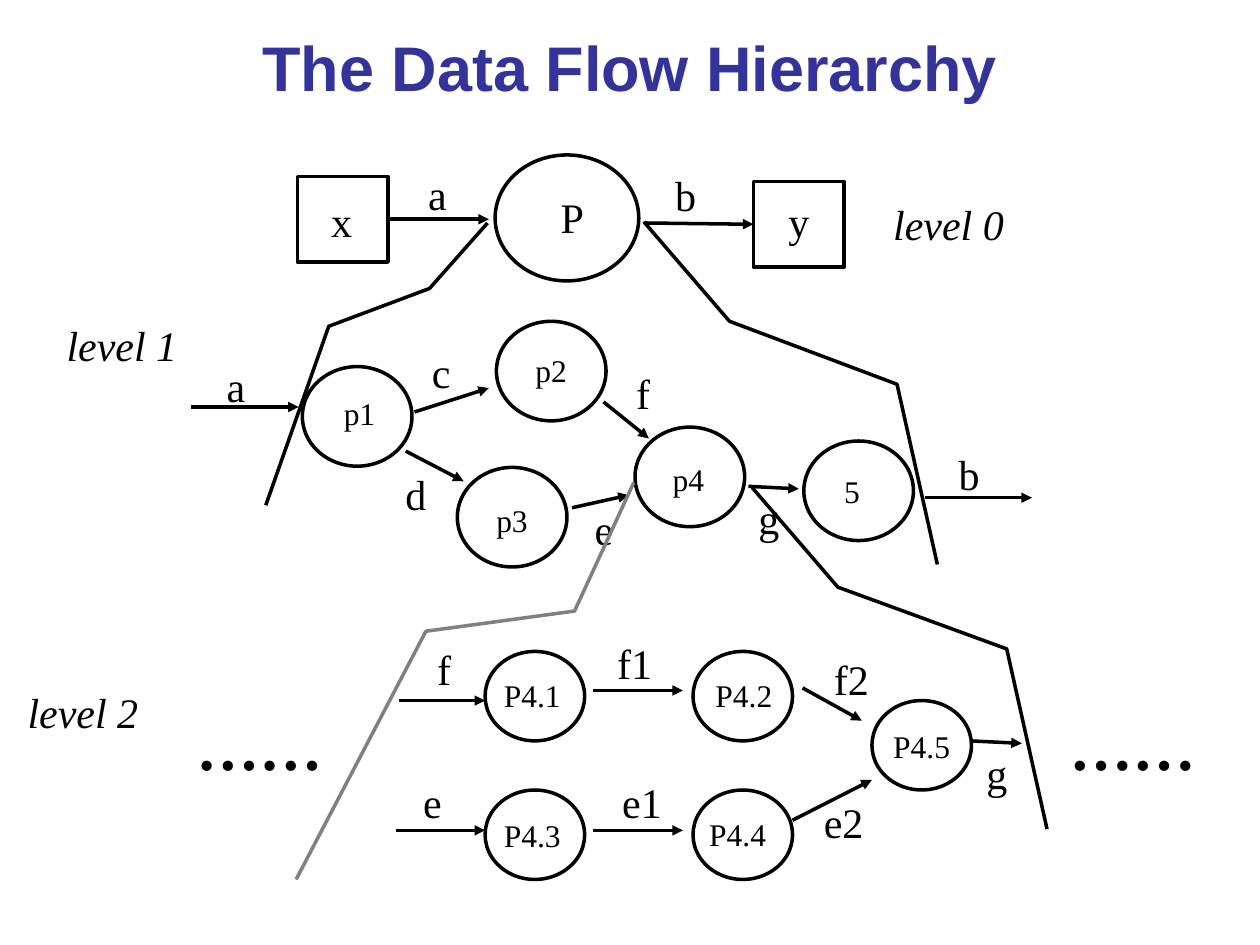
from dataclasses import dataclass

from lxml import etree
from pptx import Presentation
from pptx.dml.color import RGBColor
from pptx.enum.shapes import MSO_CONNECTOR, MSO_SHAPE
from pptx.enum.text import MSO_ANCHOR, MSO_AUTO_SIZE, PP_ALIGN
from pptx.oxml.ns import qn
from pptx.util import Inches, Pt

ELLIPSE, RECTANGLE = MSO_SHAPE.OVAL, MSO_SHAPE.RECTANGLE
STRAIGHT = MSO_CONNECTOR.STRAIGHT
LEFT_SIDE, RIGHT_SIDE = 1, 3

# The page is a grid of 10 columns by 7.5 rows with square cells
COLUMNS, ROWS = 10, 7.5
CELL = Inches(1)
COLORS = {"ink": "000000", "title": "333399", "boundary": "808080"}
TITLE_FONT, LABEL_FONT = "Arial", "Times New Roman"
LINE_WIDTH = Pt(2)
ROW_SPAN = {18: 0.4, 24: 0.5, 36: 0.7}  # label height for each text size

Point = tuple[float, float]


@dataclass
class Node:
    column: float
    row: float
    size: Point
    kind: int = ELLIPSE


@dataclass
class Flow:
    start: Point
    end: Point


@dataclass
class Label:
    text: str
    column: float
    row: float
    width: float
    size: int = 24
    bold: bool = False
    italic: bool = False


@dataclass
class Boundary:
    points: list[Point]
    color: str = "ink"


def cells(count: float) -> int:
    return round(count * CELL)


def color(name: str) -> RGBColor:
    return RGBColor.from_string(COLORS[name])


def style_line(line, name: str = "ink") -> None:
    line.color.rgb = color(name)
    line.width = LINE_WIDTH


def draw_node(page, node: Node):
    shape = page.shapes.add_shape(
        node.kind, cells(node.column), cells(node.row), *map(cells, node.size))
    shape.shadow.inherit = False
    shape.fill.background()
    style_line(shape.line)
    return shape


def draw_flow(page, flow: Flow):
    arrow = page.shapes.add_connector(STRAIGHT, *map(cells, flow.start + flow.end))
    style_line(arrow.line)
    properties = arrow.line._get_or_add_ln()
    etree.SubElement(properties, qn("a:tailEnd"), type="triangle")
    etree.SubElement(arrow._element.spPr, qn("a:effectLst"))
    return arrow


def draw_boundary(page, boundary: Boundary) -> None:
    first, *rest = [(cells(column), cells(row)) for column, row in boundary.points]
    builder = page.shapes.build_freeform(*first)
    builder.add_line_segments(rest, close=False)
    shape = builder.convert_to_shape()
    shape.shadow.inherit = False
    shape.fill.background()
    style_line(shape.line, boundary.color)


def draw_label(page, label: Label) -> None:
    box = page.shapes.add_textbox(cells(label.column), cells(label.row),
                                  cells(label.width), cells(ROW_SPAN[label.size]))
    frame = box.text_frame
    frame.word_wrap = False
    frame.auto_size = MSO_AUTO_SIZE.SHAPE_TO_FIT_TEXT
    frame.text = label.text
    font = frame.paragraphs[0].runs[0].font
    font.name, font.size = LABEL_FONT, Pt(label.size)
    font.bold, font.italic = label.bold, label.italic
    font.color.rgb = color("ink")


def draw_title(page, text: str) -> None:
    title = page.shapes.title
    title.left, title.top = cells(0.75), cells(0.13)
    title.width, title.height = cells(8.5), cells(0.8)
    frame = title.text_frame
    frame.text = text
    frame.vertical_anchor = MSO_ANCHOR.MIDDLE
    paragraph = frame.paragraphs[0]
    paragraph.alignment = PP_ALIGN.CENTER
    font = paragraph.runs[0].font
    font.name, font.size, font.bold = TITLE_FONT, Pt(36), True
    font.color.rgb = color("title")


# Level 0: the whole process between its two externals
EXTERNAL = (0.72, 0.68)
SOURCE = Node(2.36, 1.4, EXTERNAL, RECTANGLE)
SINK = Node(5.98, 1.44, EXTERNAL, RECTANGLE)
INFLOW = Flow((3.04, 1.75), (3.88, 1.74))
OUTFLOW = Flow((5.12, 1.77), (5.97, 1.75))

# Processes of every level
PROCESS, SUBPROCESS = (0.87, 0.79), (0.79, 0.71)
NODES = [Node(3.93, 1.23, (1.14, 1))]
NODES += [Node(column, row, PROCESS) for column, row in
          [(2.4, 2.91), (3.94, 2.55), (3.63, 3.71), (5.04, 3.39), (6.38, 3.5)]]
NODES += [Node(column, row, SUBPROCESS)
          for row in (5.17, 6.27) for column in (3.85, 5.5)]
NODES.append(Node(6.92, 5.56, SUBPROCESS))

FLOWS = [
    # Level 1
    Flow((1.52, 3.23), (2.37, 3.23)), Flow((7.34, 3.95), (8.19, 3.95)),
    Flow((3.29, 3.27), (3.88, 3.08)), Flow((3.22, 3.58), (3.68, 3.82)),
    Flow((4.54, 4.03), (4.99, 3.93)), Flow((4.79, 3.19), (5.15, 3.48)),
    Flow((5.94, 3.86), (6.34, 3.88)),
    # Level 2
    Flow((3.17, 5.56), (3.85, 5.56)), Flow((3.14, 6.59), (3.85, 6.59)),
    Flow((4.71, 5.48), (5.42, 5.48)), Flow((4.71, 6.59), (5.42, 6.59)),
    Flow((6.37, 5.46), (6.84, 5.72)), Flow((6.29, 6.51), (6.92, 6.19)),
    Flow((7.7, 5.88), (8.11, 5.9)),
]

# Outlines that open a process into the level below
BOUNDARIES = [
    Boundary([(3.87, 1.77), (3.41, 2.29), (2.61, 2.59), (2.11, 4.01)]),
    Boundary([(5.11, 1.76), (5.79, 2.55), (7.12, 3.05), (7.44, 4.48)]),
    Boundary([(5.97, 3.87), (6.65, 4.66), (7.99, 5.15), (8.31, 6.58)]),
    Boundary([(2.35, 6.98), (3.38, 5.01), (4.56, 4.85), (5.03, 3.83)], "boundary"),
]

LABELS = [
    # Level 0
    Label("P", 4.35, 1.47, 0.38), Label("x", 2.53, 1.5, 0.36),
    Label("y", 6.16, 1.5, 0.36), Label("a", 3.3, 1.29, 0.35),
    Label("b", 5.26, 1.3, 0.36),
    # Level 1
    Label("p1", 2.63, 3.08, 0.45, 18), Label("p2", 4.15, 2.74, 0.45, 18),
    Label("p3", 3.84, 3.93, 0.45, 18), Label("p4", 5.24, 3.6, 0.45, 18),
    Label("5", 6.6, 3.7, 0.32, 18),
    Label("a", 1.7, 2.81, 0.35), Label("b", 7.51, 3.51, 0.36),
    Label("c", 3.33, 2.7, 0.35), Label("d", 3.12, 3.67, 0.36),
    Label("e", 4.62, 3.95, 0.35), Label("f", 4.95, 2.87, 0.31),
    Label("g", 5.92, 3.86, 0.36),
    # Level 2
    Label("P4.1", 3.9, 5.32, 0.65, 18), Label("P4.2", 5.58, 5.32, 0.65, 18),
    Label("P4.3", 3.9, 6.43, 0.65, 18), Label("P4.4", 5.53, 6.42, 0.65, 18),
    Label("P4.5", 6.99, 5.72, 0.65, 18),
    Label("f", 3.37, 5.06, 0.31), Label("e", 3.26, 6.11, 0.35),
    Label("f1", 4.8, 5.01, 0.48), Label("f2", 6.52, 5.14, 0.48),
    Label("e1", 4.84, 6.11, 0.53), Label("e2", 6.44, 6.27, 0.53),
    Label("g", 7.73, 5.88, 0.36),
]
LABELS += [Label(f"level {level}", column, row, 1.08, italic=True)
           for level, (column, row) in enumerate([(6.99, 1.53), (0.43, 2.49), (0.12, 5.4)])]
LABELS += [Label("……", column, 5.57, 1.2, 36, bold=True) for column in (1.46, 8.39)]


def main() -> None:
    deck = Presentation()
    deck.slide_width, deck.slide_height = cells(COLUMNS), cells(ROWS)
    page = deck.slides.add_slide(deck.slide_layouts[5])
    draw_title(page, "The Data Flow Hierarchy")

    source, sink = draw_node(page, SOURCE), draw_node(page, SINK)
    draw_flow(page, INFLOW).begin_connect(source, RIGHT_SIDE)
    draw_flow(page, OUTFLOW).end_connect(sink, LEFT_SIDE)

    for draw, items in ((draw_node, NODES), (draw_flow, FLOWS),
                        (draw_label, LABELS), (draw_boundary, BOUNDARIES)):
        for item in items:
            draw(page, item)
    deck.save("out.pptx")


if __name__ == "__main__":
    main()
